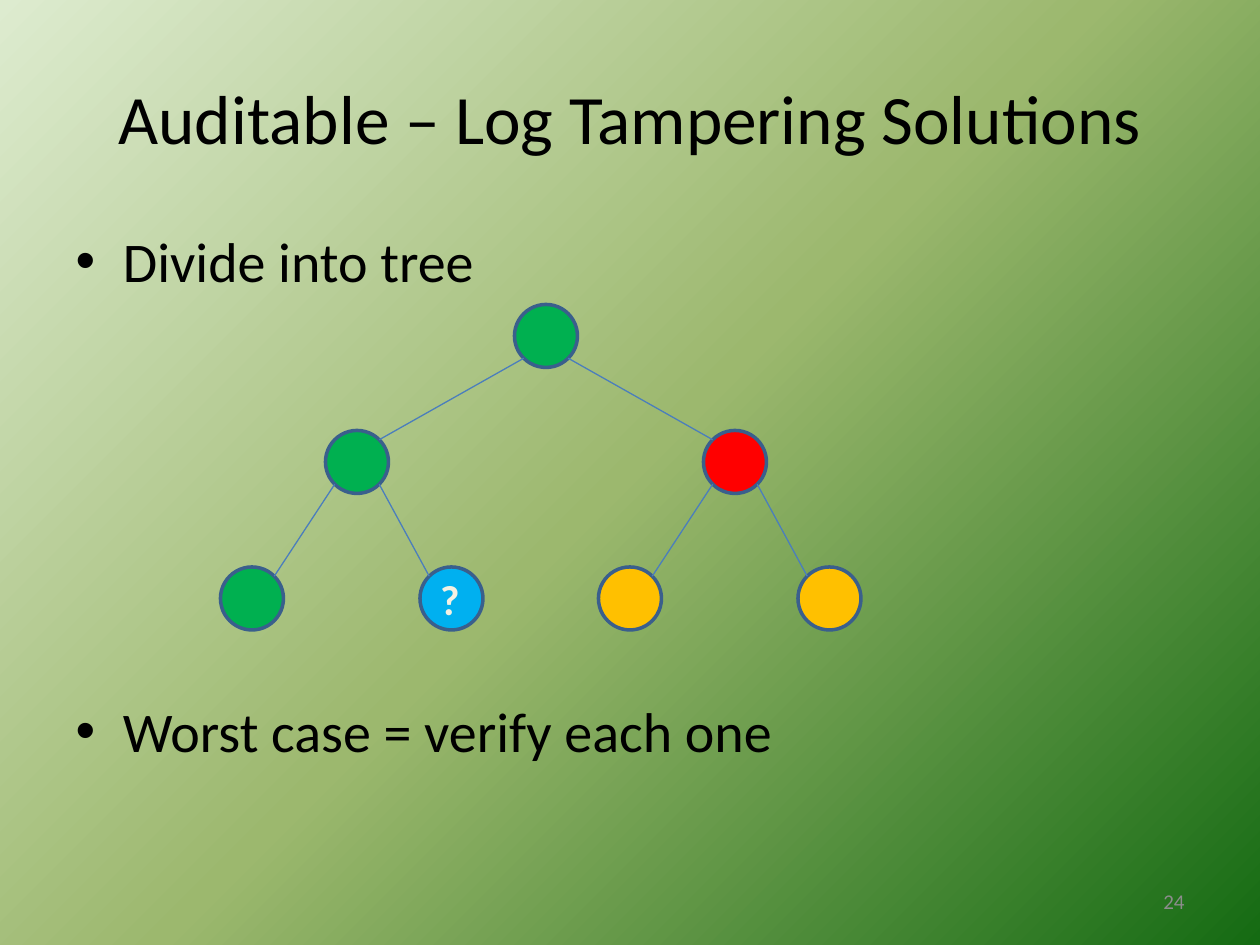
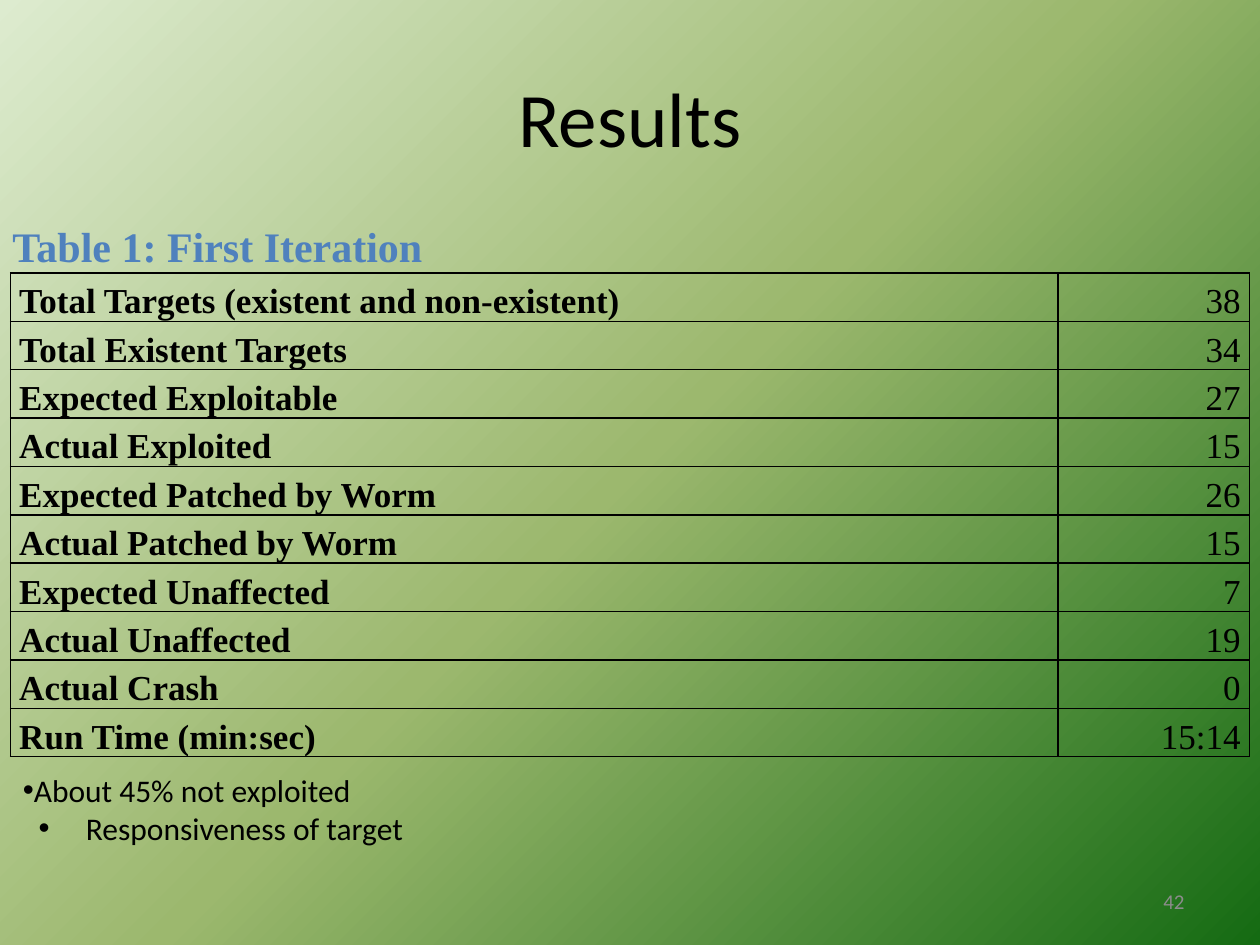
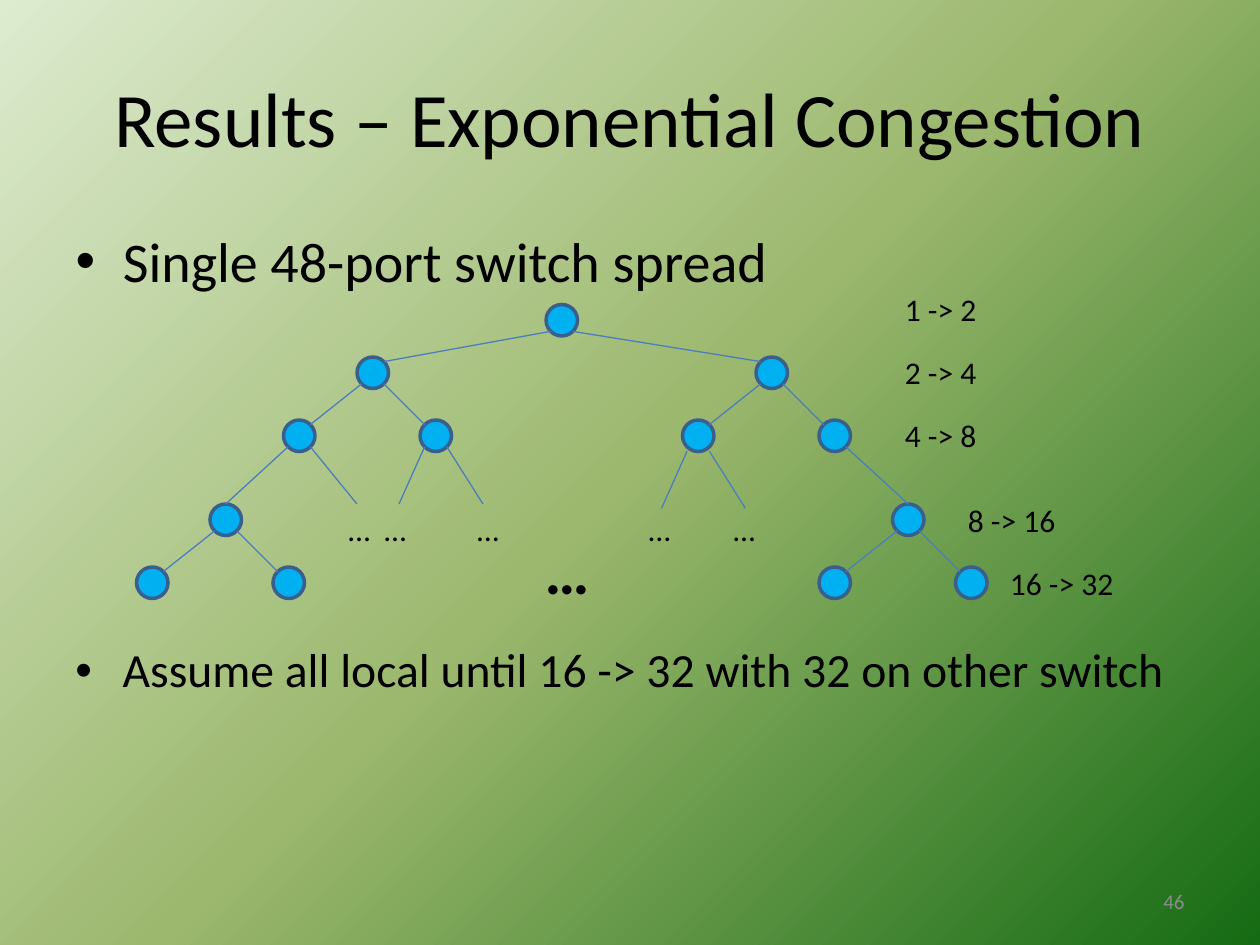
"""Builds three slides on log auditing trees and spread results."""
from copy import deepcopy
from dataclasses import dataclass
from math import sqrt

from lxml import etree
from pptx import Presentation
from pptx.dml import color
from pptx.enum import shapes, text
from pptx.oxml import ns
from pptx.util import Pt

BLACK, GREY, BLUE = "000000", "8C8C8C", "4F81BD"
GREEN, RED, AMBER, SKY = "00B050", "FF0000", "FFC000", "00B0F0"
NODE_LINE, EDGE_LINE = "3A5F8C", "4B7EBC"
BACKDROP = [(0, "DDEBCF"), (0.5, "9CB86E"), (1, "156B13")]
SANS, SERIF = "Calibri", "Times New Roman"
INDENT = 27
LEFT, CENTER, RIGHT = text.PP_ALIGN.LEFT, text.PP_ALIGN.CENTER, text.PP_ALIGN.RIGHT
TOP, MIDDLE, BOTTOM = text.MSO_ANCHOR.TOP, text.MSO_ANCHOR.MIDDLE, text.MSO_ANCHOR.BOTTOM

RESULTS = [
    ("Total Targets (existent and non-existent)", "38"),
    ("Total Existent Targets", "34"),
    ("Expected Exploitable", "27"),
    ("Actual Exploited", "15"),
    ("Expected Patched by Worm", "26"),
    ("Actual Patched by Worm", "15"),
    ("Expected Unaffected", "7"),
    ("Actual Unaffected", "19"),
    ("Actual Crash", "0"),
    ("Run Time (min:sec)", "15:14"),
]


@dataclass(frozen=True)
class Style:
    size: float = 18
    color: str = BLACK
    bold: bool = False
    font: str = SANS
    align: text.PP_ALIGN = LEFT


@dataclass(frozen=True)
class Label:
    text: str
    left: float
    top: float
    width: float
    height: float
    style: Style = Style()
    anchor: text.MSO_ANCHOR = TOP


@dataclass(frozen=True)
class Node:
    left: float
    top: float
    size: float
    fill: str = SKY

    def corner(self, right: bool, low: bool) -> tuple[float, float]:
        reach = self.size / 2 / sqrt(2)
        x, y = self.left + self.size / 2, self.top + self.size / 2
        return x + (reach if right else -reach), y + (reach if low else -reach)

    def crown(self) -> tuple[float, float]:
        return self.left + self.size / 2, self.top

    def child(self, shift: float, drop: float, fill: str) -> "Node":
        return Node(self.left + shift, self.top + drop, self.size, fill)


def rgb(value: str) -> color.RGBColor:
    return color.RGBColor.from_string(value)


def assign(target, **values) -> None:
    for name, value in values.items():
        setattr(target, name, value)


def add_xml(parent, tag: str, **attributes):
    return etree.SubElement(parent, ns.qn(tag), attributes)


def write(para, content: str, style: Style):
    para.alignment = style.align
    span = para.add_run()
    span.text = content
    assign(span.font, size=Pt(style.size), bold=style.bold, name=style.font)
    span.font.color.rgb = rgb(style.color)
    return span


def add_bullet(para, margin: float) -> None:
    props = para._p.get_or_add_pPr()
    props.set("marL", str(Pt(margin)))
    props.set("indent", str(-Pt(INDENT)))
    add_xml(props, "a:buFont", typeface="Arial")
    add_xml(props, "a:buChar", char="•")


def add_label(slide, label: Label):
    box = slide.shapes.add_textbox(*map(Pt, (label.left, label.top, label.width, label.height)))
    assign(box.text_frame, word_wrap=True, vertical_anchor=label.anchor)
    write(box.text_frame.paragraphs[0], label.text, label.style)
    return box


def add_page(deck, layout: int, title: str, number: str, size: float = 44):
    page = deck.slides.add_slide(deck.slide_layouts[layout])
    frame = page.shapes.title.text_frame
    frame.auto_size = text.MSO_AUTO_SIZE.NONE
    write(frame.paragraphs[0], title, Style(size, align=CENTER))
    add_label(page, Label(number, 516, 500.5, 168, 28.75, Style(12, GREY, align=RIGHT), MIDDLE))
    return page


def fill_body(page, lines: list[str], height: float, gap: float = 0) -> None:
    body = page.placeholders[1]
    assign(body, left=Pt(36), top=Pt(126), width=Pt(648), height=Pt(height))
    frame = body.text_frame
    frame.auto_size = text.MSO_AUTO_SIZE.NONE
    for index, line in enumerate(lines):
        para = frame.add_paragraph() if index else frame.paragraphs[0]
        write(para, line, Style(32))
        if index:
            para.space_before = Pt(gap)


def add_node(canvas, node: Node) -> None:
    circle = canvas.add_shape(shapes.MSO_SHAPE.OVAL, *map(Pt, (node.left, node.top, node.size, node.size)))
    circle.shadow.inherit = False
    circle.fill.solid()
    circle.fill.fore_color.rgb = rgb(node.fill)
    circle.line.color.rgb = rgb(NODE_LINE)
    circle.line.width = Pt(2)


def add_edge(canvas, start: tuple[float, float], end: tuple[float, float]) -> None:
    edge = canvas.add_connector(shapes.MSO_CONNECTOR.STRAIGHT, *map(Pt, (*start, *end)))
    edge.line.color.rgb = rgb(EDGE_LINE)
    edge.line.width = Pt(0.75)
    add_xml(edge._element.spPr, "a:effectLst")


def link(canvas, parent: Node, child: Node) -> None:
    right = child.left > parent.left
    add_edge(canvas, parent.corner(right, True), child.corner(not right, False))


def add_branch(page, apex: Node, shifts: tuple[float, float], drop: float, fills: tuple[str, str]) -> list[Node]:
    canvas = page.shapes.add_group_shape().shapes
    children = [apex.child(shift, drop, fill) for shift, fill in zip(shifts, fills)]
    for node in (apex, *children):
        add_node(canvas, node)
    for child in children:
        link(canvas, apex, child)
    return children


def paint_backdrop(deck) -> None:
    master = deck.slide_master
    fill = master.background.fill
    fill.gradient()
    fill.gradient_angle = 315
    stops = master.element.find(".//" + ns.qn("a:gsLst"))
    stops.append(deepcopy(stops[-1]))
    for stop, (position, shade) in zip(fill.gradient_stops, BACKDROP):
        stop.position = position
        stop.color.rgb = rgb(shade)


def add_borders(cell) -> None:
    props = cell._tc.get_or_add_tcPr()
    for index, side in enumerate(("a:lnL", "a:lnR", "a:lnT", "a:lnB")):
        border = etree.Element(ns.qn(side), {"w": str(Pt(1))})
        add_xml(add_xml(border, "a:solidFill"), "a:srgbClr", val=BLACK)
        props.insert(index, border)


def add_results(page) -> None:
    table = page.shapes.add_table(len(RESULTS), 2, Pt(6), Pt(156), Pt(708), Pt(230)).table
    assign(table, first_row=False, horz_banding=False)
    for column, width in zip(table.columns, (598.5, 109.5)):
        column.width = Pt(width)
    styles = Style(20, bold=True, font=SERIF), Style(20, font=SERIF, align=RIGHT)
    for row, values in zip(table.rows, RESULTS):
        row.height = Pt(23)
        for cell, value, style in zip(row.cells, values, styles):
            assign(cell, margin_left=Pt(5), margin_right=Pt(5), margin_top=0, margin_bottom=0,
                   vertical_anchor=BOTTOM)
            cell.fill.background()
            add_borders(cell)
            para = cell.text_frame.paragraphs[0]
            para.line_spacing = 1.15
            write(para, value, style)


def build_tampering(deck) -> None:
    page = add_page(deck, 1, "Auditable – Log Tampering Solutions", "24", 39.6)
    fill_body(page, ["Divide into tree", "Worst case = verify each one"], 356.5, 230)
    root = Node(294, 174, 36, GREEN)
    add_node(page.shapes, root)
    for shift, fill, leaves in ((-108, GREEN, (GREEN, SKY)), (108, RED, (AMBER, AMBER))):
        apex = root.child(shift, 72, fill)
        add_branch(page, apex, (-60, 54), 78, leaves)
        link(page.shapes, root, apex)
    mark = add_label(page, Label("?", 244, 324, 26, 36, Style(24, "F4F1E3", True, align=CENTER)))
    props = mark.text_frame.paragraphs[0].runs[0].font._element
    outline = etree.Element(ns.qn("a:ln"), {"w": str(Pt(1))})
    add_xml(add_xml(outline, "a:solidFill"), "a:srgbClr", val="054697")
    props.insert(0, outline)


def build_results(deck) -> None:
    page = add_page(deck, 5, "Results", "42")
    add_results(page)
    add_label(page, Label("Table 1: First Iteration", 0, 122.5, 260, 36, Style(24, BLUE, True, SERIF), MIDDLE))
    notes = add_label(page, Label("About 45% not exploited", 6, 437, 708, 72.5))
    frame = notes.text_frame
    add_bullet(frame.paragraphs[0], 0)
    detail = frame.add_paragraph()
    detail.level = 1
    write(detail, "Responsiveness of target", Style())
    add_bullet(detail, 36)


def build_congestion(deck) -> None:
    page = add_page(deck, 1, "Results – Exponential Congestion", "46")
    fill_body(page, ["Single 48-port switch spread"], 60)
    canvas = page.shapes
    root = Node(312, 174, 18)
    add_node(canvas, root)
    apexes = [Node(left, top, 18) for left, top in ((204, 204), (432, 204), (120, 288), (510, 288))]
    left_pair, right_pair, *_ = [add_branch(page, apex, (-42, 36), 36, (SKY, SKY)) for apex in apexes]
    for apex in apexes[:2]:
        link(canvas, root, apex)
    add_edge(canvas, left_pair[0].corner(False, True), apexes[2].crown())
    add_edge(canvas, right_pair[1].corner(True, True), apexes[3].crown())
    open_ends = [
        (left_pair[0], True, 204, 0), (left_pair[1], False, 228, 0), (left_pair[1], True, 276, 0),
        (right_pair[0], False, 378, 2.5), (right_pair[0], True, 426, 2.5),
    ]
    for node, right, end, lower in open_ends:
        x, y = node.corner(right, True)
        add_edge(canvas, (x, y + lower), (end, 288 + lower))

    dots = add_label(page, Label("\t".join("…" * 5), 192, 288, 276, 29))
    tabs = add_xml(dots.text_frame.paragraphs[0]._p.get_or_add_pPr(), "a:tabLst")
    for stop in (20.5, 73.5, 171.5, 220):
        add_xml(tabs, "a:tab", pos=str(Pt(stop)), algn="l")
    add_label(page, Label("…", 186, 300, 276, 51, Style(36, bold=True, align=CENTER)))
    steps = [(510, 162, 60), (510, 198, 60), (510, 234, 60), (546, 283, 72), (570, 319, 84)]
    for power, (left, top, width) in enumerate(steps):
        add_label(page, Label(f"{2 ** power} -> {2 ** (power + 1)}", left, top, width, 29))
    premise = add_label(page, Label("Assume all local until 16 -> 32 with 32 on other switch",
                                    36, 366, 648, 60, Style(27.2)))
    para = premise.text_frame.paragraphs[0]
    assign(para, line_spacing=0.9, space_before=Pt(5.5))
    add_bullet(para, INDENT)


def main() -> None:
    deck = Presentation()
    assign(deck, slide_width=Pt(720), slide_height=Pt(540))
    paint_backdrop(deck)
    for build in (build_tampering, build_results, build_congestion):
        build(deck)
    deck.save("out.pptx")


if __name__ == "__main__":
    main()
